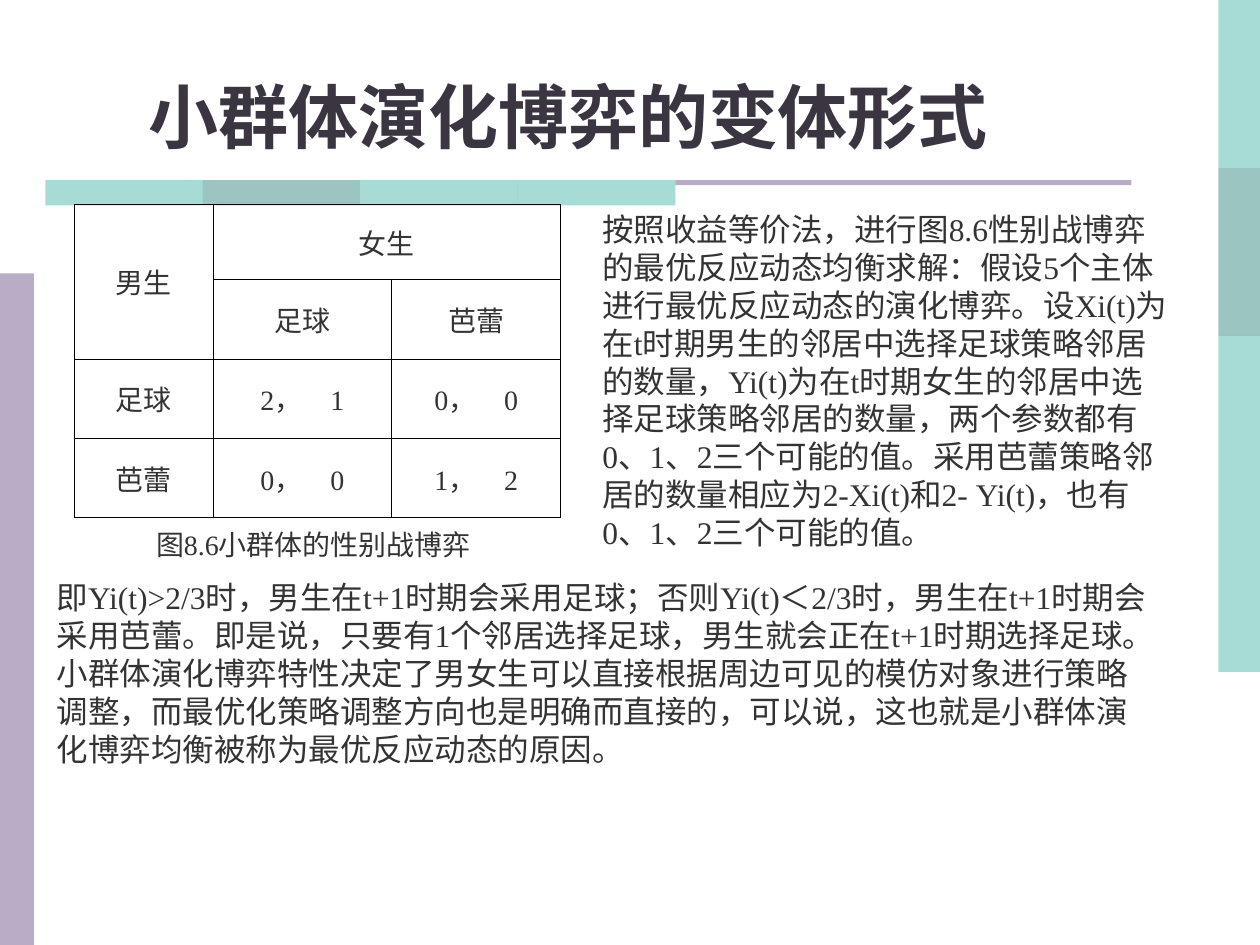
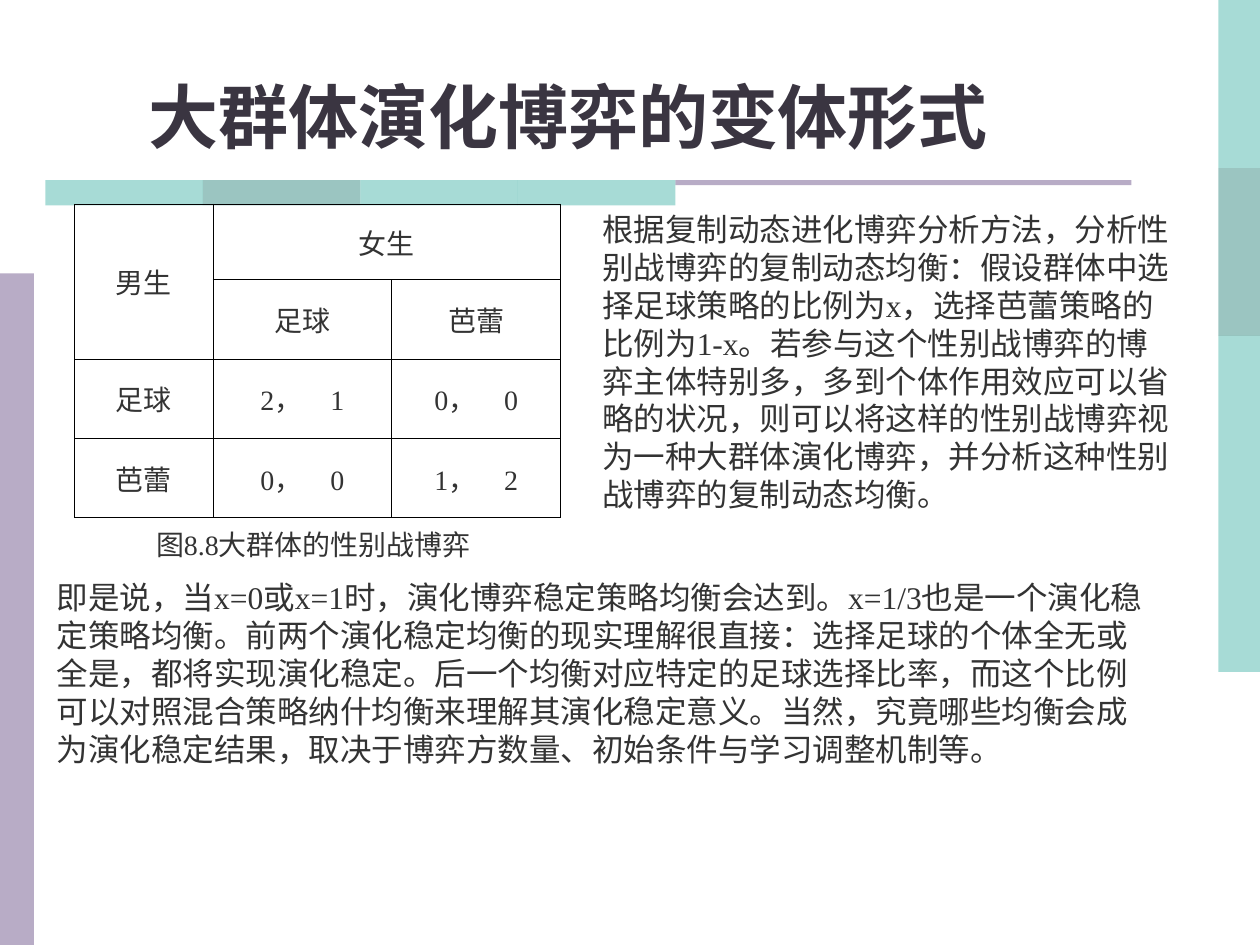
from pptx import Presentation, util as u
from pptx.dml.color import RGBColor
from pptx.enum import shapes, text
from pptx.oxml import parse_xml
from pptx.oxml.ns import nsdecls

FACE = "Times New Roman"
INK, HEAD, TEAL, DEEP, LILAC, BLACK = (
    "333333", "3A3541", "51B9AF", "398D85", "B8ACC6", "000000")
TINTS = [TEAL, DEEP, TEAL, TEAL]

GAME = [
    ["男生", "女生", None],
    [None, "足球", "芭蕾"],
    ["足球", "2，　1", "0，　0"],
    ["芭蕾", "0，　0", "1，　2"],
]
COLS = [1.1, 1.42, 1.34]
ROWS = [0.6, 0.63, 0.63, 0.63]

SLIDES = [
    {
        "title": "小群体演化博弈的变体形式",
        "label": "图8.6小群体的性别战博弈",
        "side": ["按照收益等价法，进行图8.6性别战博弈的最优反应动态均衡求解：假设5个主体进行最优反应动态的演化博弈。设Xi(t)为在t时期男生的邻居中选择足球策略邻居的数量，Yi(t)为在t时期女生的邻居中选择足球策略邻居的数量，两个参数都有0、1、2三个可能的值。采用芭蕾策略邻居的数量相应为2-Xi(t)和2- Yi(t)，也有0、1、2三个可能的值。"],
        "below": [
            "即Yi(t)>2/3时，男生在t+1时期会采用足球；否则Yi(t)＜2/3时，男生在t+1时期会采用芭蕾。即是说，只要有1个邻居选择足球，男生就会正在t+1时期选择足球。",
            "小群体演化博弈特性决定了男女生可以直接根据周边可见的模仿对象进行策略调整，而最优化策略调整方向也是明确而直接的，可以说，这也就是小群体演化博弈均衡被称为最优反应动态的原因。",
        ],
    },
    {
        "title": "大群体演化博弈的变体形式",
        "label": "图8.8大群体的性别战博弈",
        "side": ["根据复制动态进化博弈分析方法，分析性别战博弈的复制动态均衡：假设群体中选择足球策略的比例为x，选择芭蕾策略的比例为1-x。若参与这个性别战博弈的博弈主体特别多，多到个体作用效应可以省略的状况，则可以将这样的性别战博弈视为一种大群体演化博弈，并分析这种性别战博弈的复制动态均衡。"],
        "below": ["即是说，当x=0或x=1时，演化博弈稳定策略均衡会达到。x=1/3也是一个演化稳定策略均衡。前两个演化稳定均衡的现实理解很直接：选择足球的个体全无或全是，都将实现演化稳定。后一个均衡对应特定的足球选择比率，而这个比例可以对照混合策略纳什均衡来理解其演化稳定意义。当然，究竟哪些均衡会成为演化稳定结果，取决于博弈方数量、初始条件与学习调整机制等。"],
    },
]


def paint(target, tint):
    target.rgb = RGBColor.from_string(tint)


def place(shape, box):
    shape.left, shape.top, shape.width, shape.height = map(u.Inches, box)


def write(frame, lines, size=18, tint=INK, bold=False, align=text.PP_ALIGN.LEFT):
    frame.text = "\n".join(lines)
    for par in frame.paragraphs:
        par.alignment = align
        par.space_before = u.Pt(0)
        font = par.font
        font.name, font.size, font.bold = FACE, u.Pt(size), bold
        paint(font.color, tint)


def add_band(slide, box, tint, clear=False):
    band = slide.shapes.add_shape(shapes.MSO_SHAPE.RECTANGLE, *map(u.Inches, box))
    band.shadow.inherit = False
    band.line.fill.background()
    band.fill.solid()
    paint(band.fill.fore_color, tint)
    if clear:
        hue = band.fill._xPr.solidFill[0]
        hue.append(parse_xml(f'<a:alpha {nsdecls("a")} val="50000"/>'))
    return band


def dress(layout, slide):
    """Draw the bands once and move them into the layout."""
    bands = [add_band(slide, (0, 2.17, 0.27, 5.33), LILAC),
             add_band(slide, (5.36, 1.43, 3.62, 0.04), LILAC)]
    for n, tint in enumerate(TINTS):
        bands.append(add_band(slide, (9.67, n * 4 / 3, 0.33, 4 / 3), tint, True))
        bands.append(add_band(slide, (0.36 + n * 1.25, 1.43, 1.25, 0.2), tint, True))
    for n, band in enumerate(bands):
        band.element.nvSpPr.cNvPr.id = 100 + n
        layout.shapes.element.append(band.element)


def rule(cell):
    """Give a cell thin black borders on all sides."""
    props = cell._tc.get_or_add_tcPr()
    for n, side in enumerate("LRTB"):
        props.insert(n, parse_xml(
            f'<a:ln{side} {nsdecls("a")} w="{u.Pt(0.45)}"><a:solidFill>'
            f'<a:srgbClr val="{BLACK}"/></a:solidFill></a:ln{side}>'))


def add_game(slide):
    box = map(u.Inches, (0.59, 1.62, sum(COLS), sum(ROWS)))
    table = slide.shapes.add_table(len(ROWS), len(COLS), *box).table
    table.first_row = table.horz_banding = False
    for col, width in zip(table.columns, COLS):
        col.width = u.Inches(width)
    for row, height in zip(table.rows, ROWS):
        row.height = u.Inches(height)
    table.cell(0, 0).merge(table.cell(1, 0))
    table.cell(0, 1).merge(table.cell(0, 2))
    for r, line in enumerate(GAME):
        for c, word in enumerate(line):
            cell = table.cell(r, c)
            cell.fill.background()
            rule(cell)
            if word:
                cell.vertical_anchor = text.MSO_ANCHOR.MIDDLE
                write(cell.text_frame, [word], 16, align=text.PP_ALIGN.CENTER)


def fill_body(holder, lines, box):
    place(holder, box)
    frame = holder.text_frame
    frame.auto_size = text.MSO_AUTO_SIZE.NONE
    frame.text = "\n".join(lines)
    for par in frame.paragraphs:
        props = par._p.get_or_add_pPr()
        props.set("marL", "0")
        props.set("indent", "0")
    write(frame, lines)
    for par in frame.paragraphs:
        props = par._p.get_or_add_pPr()
        props.set("marL", "0")
        props.set("indent", "0")
        props.insert_element_before(
            parse_xml(f'<a:buNone {nsdecls("a")}/>'), "a:tabLst", "a:defRPr", "a:extLst")


def build(slide, data):
    title, side, below = slide.placeholders
    place(title, (0, 0.44, 9.02, 0.86))
    title.text_frame.vertical_anchor = text.MSO_ANCHOR.BOTTOM
    title.text_frame.auto_size = text.MSO_AUTO_SIZE.NONE
    write(title.text_frame, [data["title"]], 40, HEAD, True, text.PP_ALIGN.CENTER)
    fill_body(side, data["side"], (4.68, 1.62, 4.73, 2.8))
    fill_body(below, data["below"], (0.35, 4.54, 8.9, 1.9))
    add_game(slide)
    label = slide.shapes.add_textbox(*map(u.Inches, (1.14, 4.14, 2.8, 0.37)))
    label.text_frame.word_wrap = False
    write(label.text_frame, [data["label"]], 16)


def main():
    deck = Presentation()
    deck.slide_width, deck.slide_height = u.Inches(10), u.Inches(7.5)
    layout = deck.slide_layouts.get_by_name("Two Content")
    for n, data in enumerate(SLIDES):
        slide = deck.slides.add_slide(layout)
        if n == 0:
            dress(layout, slide)
        build(slide, data)
    deck.save("out.pptx")


if __name__ == "__main__":
    main()
